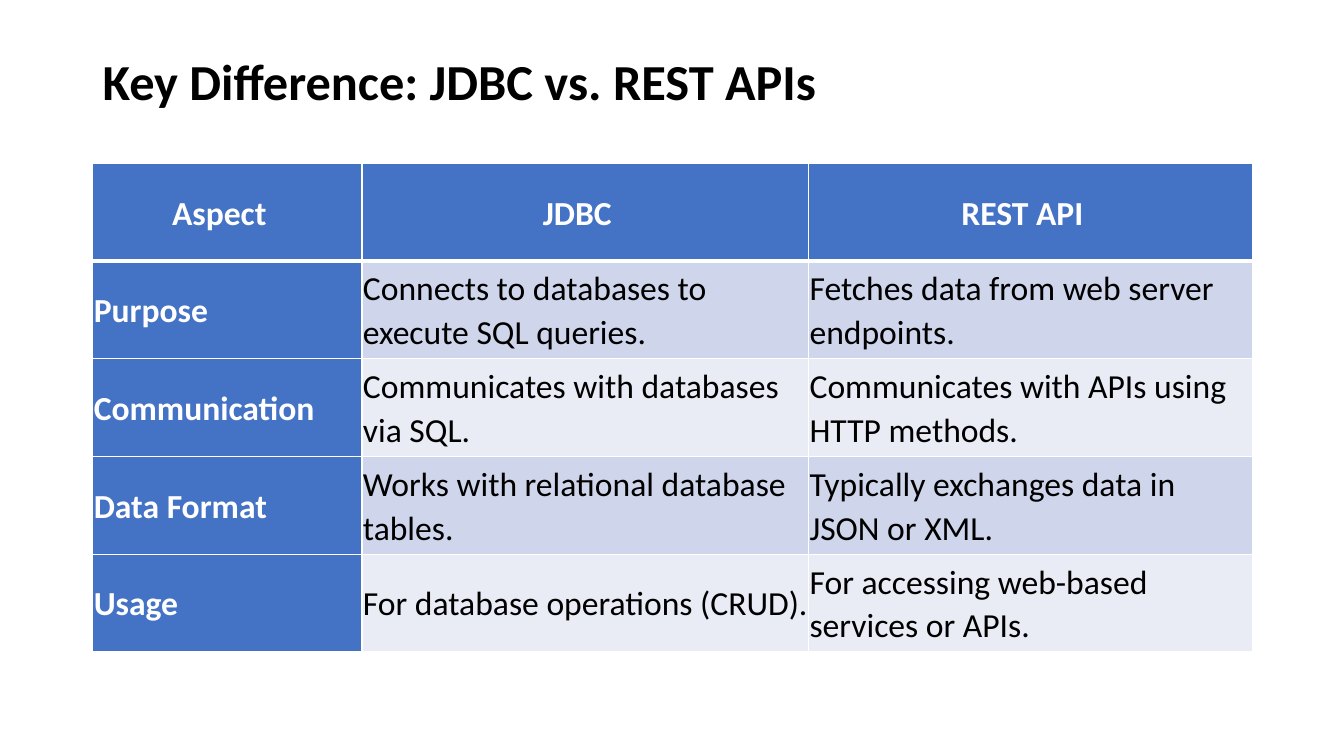
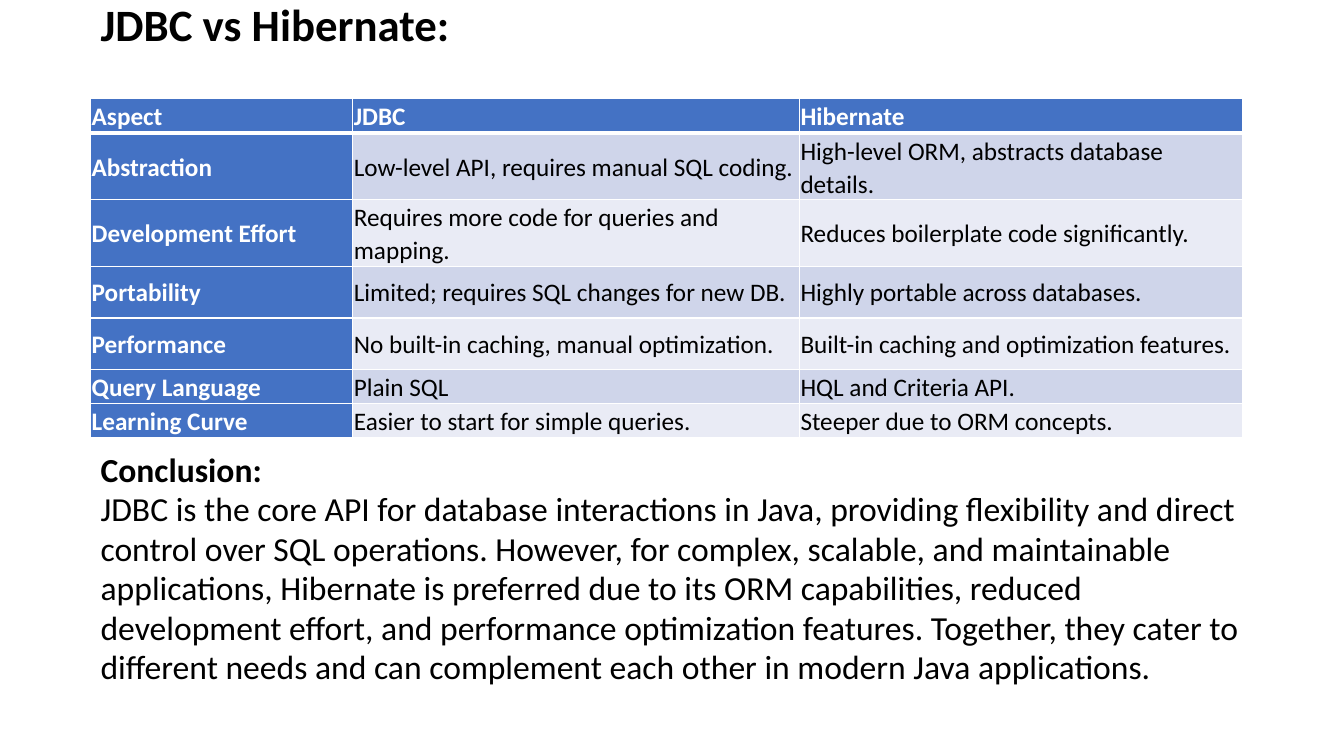
from dataclasses import dataclass

from lxml import etree
from pptx import Presentation
from pptx.dml.color import RGBColor
from pptx.enum.text import MSO_ANCHOR, PP_ALIGN
from pptx.oxml.ns import qn
from pptx.util import Inches, Pt

MIDDLE = MSO_ANCHOR.MIDDLE
TOP = MSO_ANCHOR.TOP
LEFT = PP_ALIGN.LEFT
CENTER = PP_ALIGN.CENTER

FONT = "Calibri"
COLORS = {
    "text": "000000",
    "light": "FFFFFF",
    "header": "4472C4",
    "odd_row": "CFD5EA",
    "even_row": "E9EBF5",
}
CELL_INSET = 0.01
THIN, THICK = 1, 3


@dataclass(frozen=True)
class Box:
    left: float
    top: float
    width: float
    height: float


@dataclass(frozen=True)
class Comparison:
    left: float
    top: float
    columns: tuple[float, ...]
    row_heights: tuple[float, ...]
    size: float
    rows: tuple[tuple[str, ...], ...]
    header_align: PP_ALIGN = LEFT
    header_right_inset: float = CELL_INSET


@dataclass(frozen=True)
class ComparisonSlide:
    title: str
    title_size: float
    title_box: Box
    comparison: Comparison
    conclusion: tuple[str, ...] = ()


SLIDES = (
    ComparisonSlide(
        "Key Difference: JDBC vs. REST APIs", 36, Box(0.92, 0.4, 11.5, 0.8),
        Comparison(
            0.92, 1.62, (2.67, 4.43, 4.4), (0.97,) * 5, 24,
            (
                ("Aspect", "JDBC", "REST API"),
                ("Purpose", "Connects to databases to execute SQL queries.",
                 "Fetches data from web server endpoints."),
                ("Communication", "Communicates with databases via SQL.",
                 "Communicates with APIs using HTTP methods."),
                ("Data Format", "Works with relational database tables.",
                 "Typically exchanges data in JSON or XML."),
                ("Usage", "For database operations (CRUD).",
                 "For accessing web-based services or APIs."),
            ),
            header_align=CENTER, header_right_inset=0.17,
        ),
    ),
    ComparisonSlide(
        "JDBC vs Hibernate:", 32, Box(0.9, 0, 11.5, 0.46),
        Comparison(
            0.9, 0.98, (2.6, 4.43, 4.39),
            (0.26, 0.51, 0.51, 0.51, 0.51, 0.26, 0.26), 18,
            (
                ("Aspect", "JDBC", "Hibernate"),
                ("Abstraction", "Low-level API, requires manual SQL coding.",
                 "High-level ORM, abstracts database details."),
                ("Development Effort",
                 "Requires more code for queries and mapping.",
                 "Reduces boilerplate code significantly."),
                ("Portability", "Limited; requires SQL changes for new DB.",
                 "Highly portable across databases."),
                ("Performance", "No built-in caching, manual optimization.",
                 "Built-in caching and optimization features."),
                ("Query Language", "Plain SQL", "HQL and Criteria API."),
                ("Learning Curve", "Easier to start for simple queries.",
                 "Steeper due to ORM concepts."),
            ),
        ),
        (
            "Conclusion:",
            "JDBC is the core API for database interactions in Java, providing "
            "flexibility and direct control over SQL operations. However, for "
            "complex, scalable, and maintainable applications, Hibernate is "
            "preferred due to its ORM capabilities, reduced development effort, "
            "and performance optimization features. Together, they cater to "
            "different needs and can complement each other in modern Java "
            "applications.",
        ),
    ),
)
CONCLUSION_BOX = Box(0.9, 4.47, 11.6, 2.45)
CONCLUSION_SIZE = 24


def style_paragraph(paragraph, size: float, color: str, bold: bool) -> None:
    for run in paragraph.runs:
        run.font.name = FONT
        run.font.size = Pt(size)
        run.font.bold = bold
        run.font.color.rgb = RGBColor.from_string(COLORS[color])


def add_text(slide, box: Box, lines: tuple[str, ...], size: float,
             anchor: MSO_ANCHOR, spacing: float = 1.0) -> None:
    """Write lines of text, the first one bold."""
    frame = slide.shapes.add_textbox(
        Inches(box.left), Inches(box.top), Inches(box.width), Inches(box.height)
    ).text_frame
    frame.word_wrap = True
    frame.vertical_anchor = anchor
    frame.margin_top = frame.margin_bottom = Inches(0)
    frame.text = "\n".join(lines)
    for index, paragraph in enumerate(frame.paragraphs):
        paragraph.line_spacing = spacing
        style_paragraph(paragraph, size, "text", bold=index == 0)


def add_borders(cell, top: float, bottom: float) -> None:
    properties = cell._tc.get_or_add_tcPr()
    widths = {"a:lnL": THIN, "a:lnR": THIN, "a:lnT": top, "a:lnB": bottom}
    for tag, width in widths.items():
        line = etree.SubElement(properties, qn(tag), w=str(Pt(width)))
        fill = etree.SubElement(line, qn("a:solidFill"))
        etree.SubElement(fill, qn("a:srgbClr"), val=COLORS["light"])


def cell_fill(row: int, column: int) -> str:
    if row == 0 or column == 0:
        return "header"
    return "odd_row" if row % 2 else "even_row"


def add_comparison(slide, comparison: Comparison) -> None:
    table = slide.shapes.add_table(
        len(comparison.rows), len(comparison.columns),
        Inches(comparison.left), Inches(comparison.top),
        Inches(sum(comparison.columns)), Inches(sum(comparison.row_heights)),
    ).table
    for column, width in zip(table.columns, comparison.columns):
        column.width = Inches(width)
    for row, height in zip(table.rows, comparison.row_heights):
        row.height = Inches(height)

    for r, texts in enumerate(comparison.rows):
        for c, text in enumerate(texts):
            cell = table.cell(r, c)
            cell.text_frame.text = text
            cell.vertical_anchor = MIDDLE
            cell.margin_left = cell.margin_right = Inches(CELL_INSET)
            cell.margin_top = cell.margin_bottom = Inches(CELL_INSET)
            # Borders come before the fill in the cell properties
            add_borders(cell, top=THICK if r == 1 else THIN,
                        bottom=THICK if r == 0 else THIN)
            fill = cell_fill(r, c)
            cell.fill.solid()
            cell.fill.fore_color.rgb = RGBColor.from_string(COLORS[fill])

            paragraph = cell.text_frame.paragraphs[0]
            paragraph.line_spacing = 1.07
            paragraph.space_after = Pt(8)
            if r == 0:
                paragraph.alignment = comparison.header_align
                cell.margin_right = Inches(comparison.header_right_inset)
            heading = fill == "header"
            style_paragraph(paragraph, comparison.size,
                            "light" if heading else "text", bold=heading)


def main() -> None:
    presentation = Presentation()
    presentation.slide_width = Inches(13.33)
    presentation.slide_height = Inches(7.5)
    blank = presentation.slide_layouts[6]

    for content in SLIDES:
        slide = presentation.slides.add_slide(blank)
        add_text(slide, content.title_box, (content.title,),
                 content.title_size, MIDDLE)
        add_comparison(slide, content.comparison)
        if content.conclusion:
            add_text(slide, CONCLUSION_BOX, content.conclusion,
                     CONCLUSION_SIZE, TOP, spacing=0.98)

    presentation.save("out.pptx")


if __name__ == "__main__":
    main()
